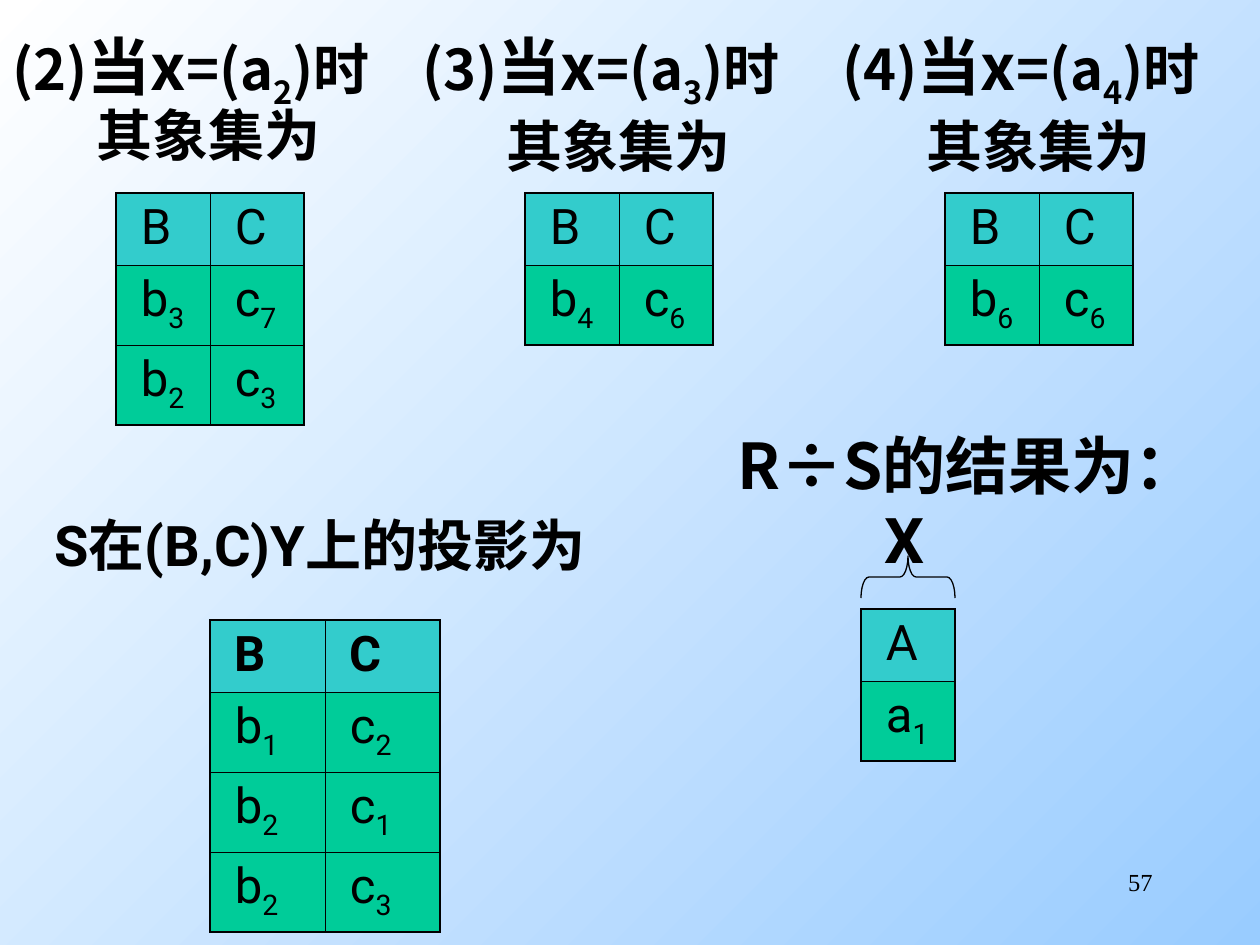
from lxml.etree import SubElement
from pptx import Presentation
from pptx.dml.color import RGBColor
from pptx.enum.shapes import MSO_SHAPE
from pptx.enum.text import PP_ALIGN
from pptx.oxml.ns import qn
from pptx.util import Pt

PX = 914400 // 126
CJK = "Noto Sans CJK SC"
LATIN = "Roboto"


def color(code):
    return RGBColor.from_string(code)


def write(para, text, size, face, bold=True):
    for part in text.split("|"):
        run = para.add_run()
        run.text = part.lstrip("_")
        if part.startswith("_"):
            run._r.get_or_add_rPr().set("baseline", "-25000")
    font = para.font
    font.size, font.name, font.bold = Pt(size), face, bold
    font.color.rgb = color("000000")
    base = para._p.pPr.find(qn("a:defRPr"))
    SubElement(base, qn("a:ea"), typeface=CJK)


deck = Presentation()
deck.slide_width, deck.slide_height = 1260 * PX, 945 * PX
slide = deck.slides.add_slide(deck.slide_layouts[6])
shapes = slide.shapes

back = slide.background.fill
back.gradient()
back.gradient_angle = 315
for stop, code, place in zip(back.gradient_stops, ("FFFFFF", "99CCFF"), (0, 1)):
    stop.color.rgb = color(code)
    stop.position = place

texts = [
    ("57", 903, 861, 262, 63, 14, "Times New Roman", False),
    ("(2)|当|x|=(a|_2|)时", 0, 21, 410, 172, 32, CJK, True),
    ("(3)|当|x|=(a|_3|)时", 410, 21, 420, 164, 32, CJK, True),
    ("(4)|当|x|=(a|_4|)时", 830, 21, 430, 164, 32, CJK, True),
    ("其象集为", 84, 94, 273, 81, 32, CJK, True),
    ("其象集为", 494, 105, 273, 81, 32, CJK, True),
    ("其象集为", 914, 105, 283, 81, 32, CJK, True),
    ("S在(B,C)Y上的投影为", 42, 504, 588, 147, 32, LATIN, True),
    ("R÷S的结果为：", 725, 420, 441, 88, 36, CJK, True),
    ("X", 872, 494, 84, 88, 36, LATIN, True),
]
for text, left, top, width, height, size, face, bold in texts:
    box = shapes.add_textbox(left * PX, top * PX, width * PX, height * PX)
    box.text_frame.word_wrap = True
    para = box.text_frame.paragraphs[0]
    write(para, text, size, face, bold)
    if text == "57":
        para.alignment = PP_ALIGN.RIGHT
    if "当" in text:
        mark, name = para.runs[1:3]
        mark.font.name = LATIN
        mark.font.size = name.font.size = Pt(36)

HEAD, BODY = 72, 80
tables = [
    (116, 193, 94, False, ["B C", "b|_3 c|_7", "b|_2 c|_3"]),
    (525, 193, 94, False, ["B C", "b|_4 c|_6"]),
    (945, 193, 94, False, ["B C", "b|_6 c|_6"]),
    (210, 620, 115, True, ["B C", "b|_1 c|_2", "b|_2 c|_1", "b|_2 c|_3"]),
    (861, 609, 94, False, ["A", "a|_1"]),
]
for left, top, width, strong, lines in tables:
    rows = [line.split() for line in lines]
    high, wide = len(rows), len(rows[0])
    tall = HEAD + BODY * (high - 1)
    grid = shapes.add_table(high, wide, left * PX, top * PX, width * wide * PX, tall * PX).table
    for col in grid.columns:
        col.width = width * PX
    for r, row in enumerate(rows):
        grid.rows[r].height = (BODY if r else HEAD) * PX
        for c, text in enumerate(row):
            cell = grid.cell(r, c)
            cell.margin_left = 25 * PX
            write(cell.text_frame.paragraphs[0], text, 28, LATIN, strong and r == 0)
            edges = {"L": c == 0, "R": c == wide - 1, "T": r == 0, "B": r == high - 1}
            for side, outer in edges.items():
                line = SubElement(cell._tc.get_or_add_tcPr(), qn("a:ln" + side))
                line.set("w", str(Pt(1.08 if outer else 0.45)))
                SubElement(SubElement(line, qn("a:solidFill")), qn("a:srgbClr"), val="000000")
            cell.fill.solid()
            cell.fill.fore_color.rgb = color("00CC99" if r else "33CCCC")

brace = shapes.add_shape(MSO_SHAPE.LEFT_BRACE, 887 * PX, 530 * PX, 42 * PX, 94 * PX)
brace.rotation = 90
brace.adjustments[0] = 0.19
brace.shadow.inherit = False
brace.fill.background()
brace.line.color.rgb = color("000000")
brace.line.width = Pt(0.75)

deck.save("out.pptx")
